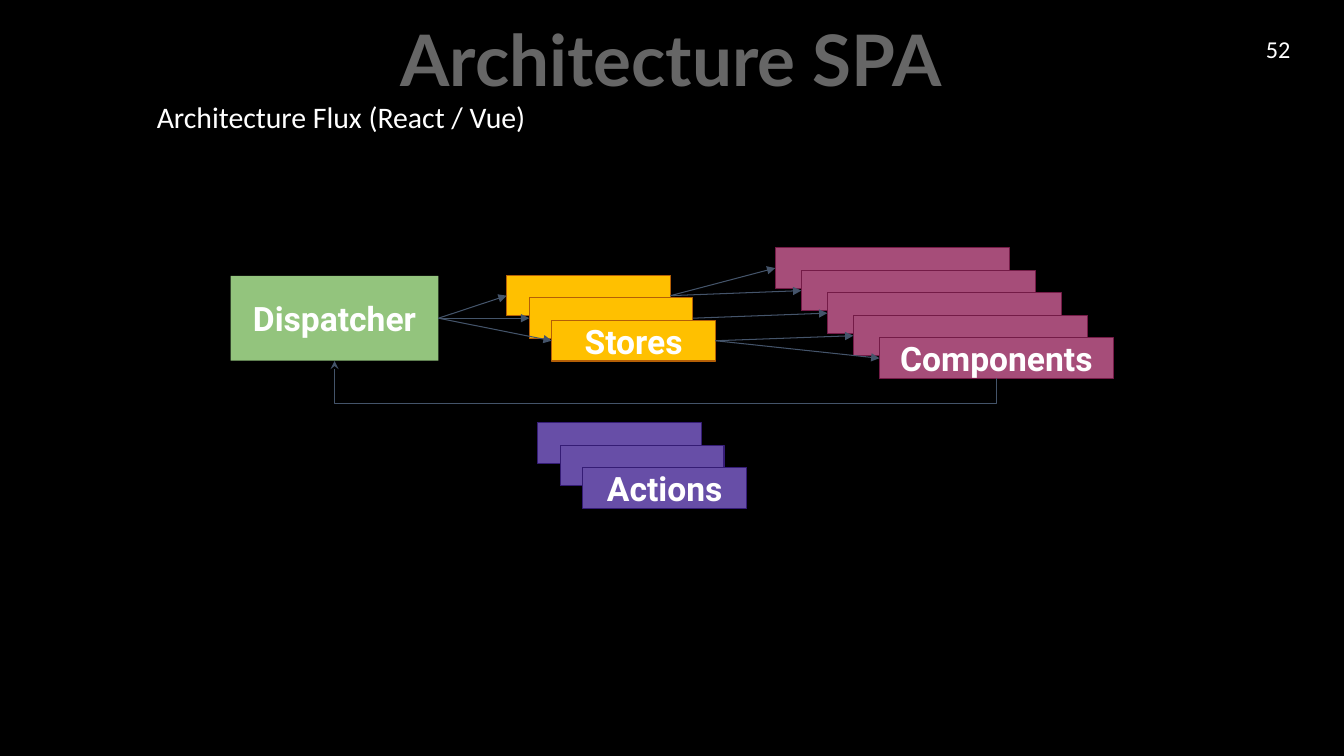
from lxml import etree
from pptx import Presentation
from pptx.dml.color import RGBColor
from pptx.enum.shapes import MSO_CONNECTOR, MSO_SHAPE
from pptx.enum.text import MSO_ANCHOR, PP_ALIGN
from pptx.oxml.ns import qn
from pptx.util import Pt

RECTANGLE = MSO_SHAPE.RECTANGLE
STRAIGHT, ELBOW = MSO_CONNECTOR.STRAIGHT, MSO_CONNECTOR.ELBOW
CENTER = PP_ALIGN.CENTER
TOP, MIDDLE = MSO_ANCHOR.TOP, MSO_ANCHOR.MIDDLE
LEFT_SIDE, RIGHT_SIDE = 1, 3

COLORS = {
    "background": "000000",
    "text": "FFFFFF",
    "title": "666666",
    "arrow": "44546A",
    "dispatcher": "93C47D",
    "store": "FFC000",
    "store_line": "B45F06",
    "component": "A64D79",
    "component_line": "741B47",
    "action": "674EA7",
    "action_line": "351C75",
}


def color(name):
    return RGBColor.from_string(COLORS[name])


class FluxSlide:
    line_width = 0.75
    inset = 9.6
    card_height = 29
    card_drop = 16.1

    def __init__(self, presentation):
        self.slide = presentation.slides.add_slide(presentation.slide_layouts[6])
        fill = self.slide.background.fill
        fill.solid()
        fill.fore_color.rgb = color("background")

    def set_text(self, shape, text, size, font, ink="text", bold=False,
                 anchor=MIDDLE, inset=inset):
        frame = shape.text_frame
        frame.text = text
        frame.word_wrap = True
        frame.vertical_anchor = anchor
        frame.margin_left = frame.margin_right = Pt(inset)
        frame.margin_top = frame.margin_bottom = Pt(inset)
        paragraph = frame.paragraphs[0]
        paragraph.alignment = CENTER
        run_font = paragraph.runs[0].font
        run_font.size, run_font.name, run_font.bold = Pt(size), font, bold
        run_font.color.rgb = color(ink)
        return paragraph

    def text_box(self, left, top, width, height, text, size, font, **style):
        shape = self.slide.shapes.add_textbox(
            Pt(left), Pt(top), Pt(width), Pt(height))
        return self.set_text(shape, text, size, font, **style)

    def box(self, left, top, width, height, fill, line=None, label=None):
        shape = self.slide.shapes.add_shape(
            RECTANGLE, Pt(left), Pt(top), Pt(width), Pt(height))
        shape.shadow.inherit = False
        shape.fill.solid()
        shape.fill.fore_color.rgb = color(fill)
        if line:
            shape.line.color.rgb = color(line)
            shape.line.width = Pt(self.line_width)
        else:
            shape.line.fill.background()
        if label:
            self.set_text(shape, label, 24, "Roboto", bold=True)
        return shape

    def stack(self, count, left, top, width, shift, kind, label):
        """Draw overlapping cards, with the label on the front one."""
        return [
            self.box(left + i * shift, top + i * self.card_drop, width,
                     self.card_height, kind, f"{kind}_line",
                     label if i == count - 1 else None)
            for i in range(count)
        ]

    def style_arrow(self, connector, head):
        connector.line.color.rgb = color("arrow")
        connector.line.width = Pt(self.line_width)
        properties = connector._element.spPr
        etree.SubElement(properties.find(qn("a:ln")), qn("a:tailEnd"), type=head)
        etree.SubElement(properties, qn("a:effectLst"))

    def arrow(self, source, target):
        connector = self.slide.shapes.add_connector(STRAIGHT, 0, 0, 0, 0)
        connector.begin_connect(source, RIGHT_SIDE)
        connector.end_connect(target, LEFT_SIDE)
        self.style_arrow(connector, "triangle")

    def return_arrow(self, start_x, start_y, end_x, end_y, lowest_y):
        """Draw a U-shaped arrow: an elbow turned a quarter clockwise."""
        center_x, center_y = (start_x + end_x) / 2, (start_y + end_y) / 2
        half_width, half_height = (start_y - end_y) / 2, (start_x - end_x) / 2
        connector = self.slide.shapes.add_connector(
            ELBOW,
            Pt(center_x + half_width), Pt(center_y - half_height),
            Pt(center_x - half_width), Pt(center_y + half_height))
        properties = connector._element.spPr
        properties.find(qn("a:xfrm")).set("rot", str(90 * 60000))
        bend = (start_y - lowest_y) / (start_y - end_y)
        adjustments = properties.find(qn("a:prstGeom")).get_or_add_avLst()
        etree.SubElement(adjustments, qn("a:gd"), name="adj1",
                         fmla=f"val {round(bend * 100000)}")
        self.style_arrow(connector, "stealth")


def main():
    presentation = Presentation()
    presentation.slide_width, presentation.slide_height = Pt(960), Pt(540)
    flux = FluxSlide(presentation)

    dispatcher = flux.box(164.7, 197, 148.5, 60.6, "dispatcher", label="Dispatcher")
    stores = flux.stack(3, 361.9, 196.7, 117, 16.1, "store", "Stores")
    for store in stores:
        flux.arrow(dispatcher, store)

    components = flux.stack(5, 553.8, 177, 167.2, 18.6, "component", "Components")
    for store_index, component_index in ((2, 3), (2, 4), (1, 2), (0, 0), (0, 1)):
        flux.arrow(stores[store_index], components[component_index])

    flux.return_arrow(711.8, 270.2, 239, 257.8, 288.2)
    flux.stack(3, 384.1, 301.9, 117, 16.1, "action", "Actions")

    flux.text_box(32.4, 11.5, 894.2, 60.5, "Architecture SPA", 50.7, "Lato",
                  ink="title", bold=True)
    flux.text_box(884.2, 14.4, 57.6, 41, "52", 17.3, "Calibri", inset=7.2)
    subtitle = flux.text_box(0, 64.1, 487.4, 25.9, "Architecture Flux (React / Vue)",
                             21.3, "Calibri", anchor=TOP)
    subtitle.line_spacing = 0.9
    subtitle.space_after = Pt(21.3)

    presentation.save("out.pptx")


if __name__ == "__main__":
    main()
